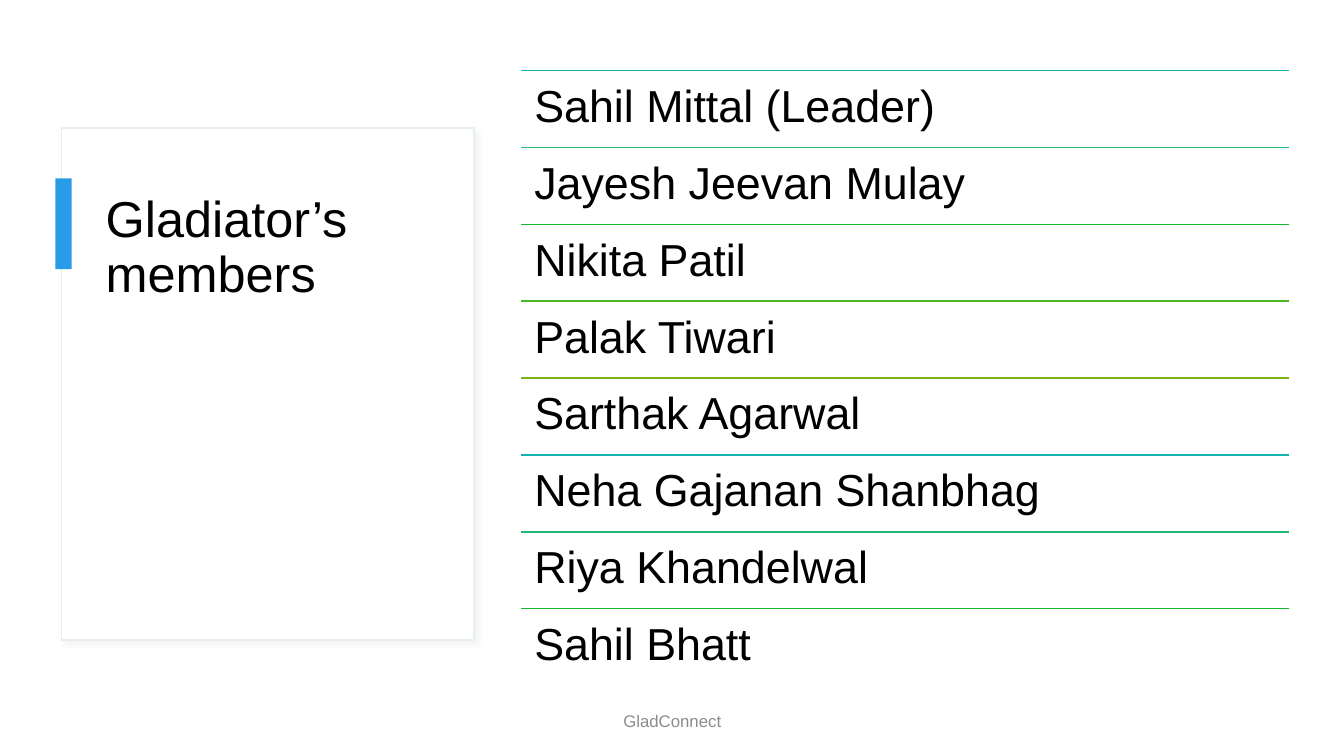
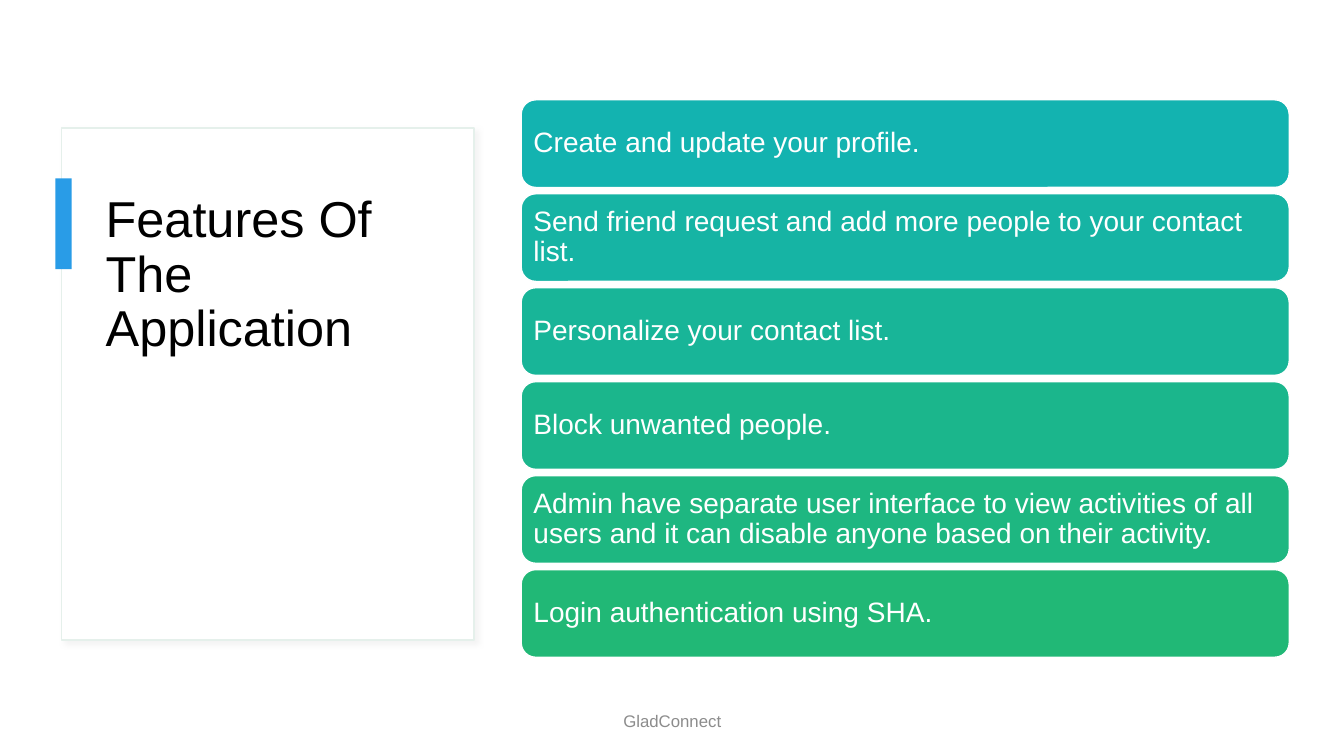
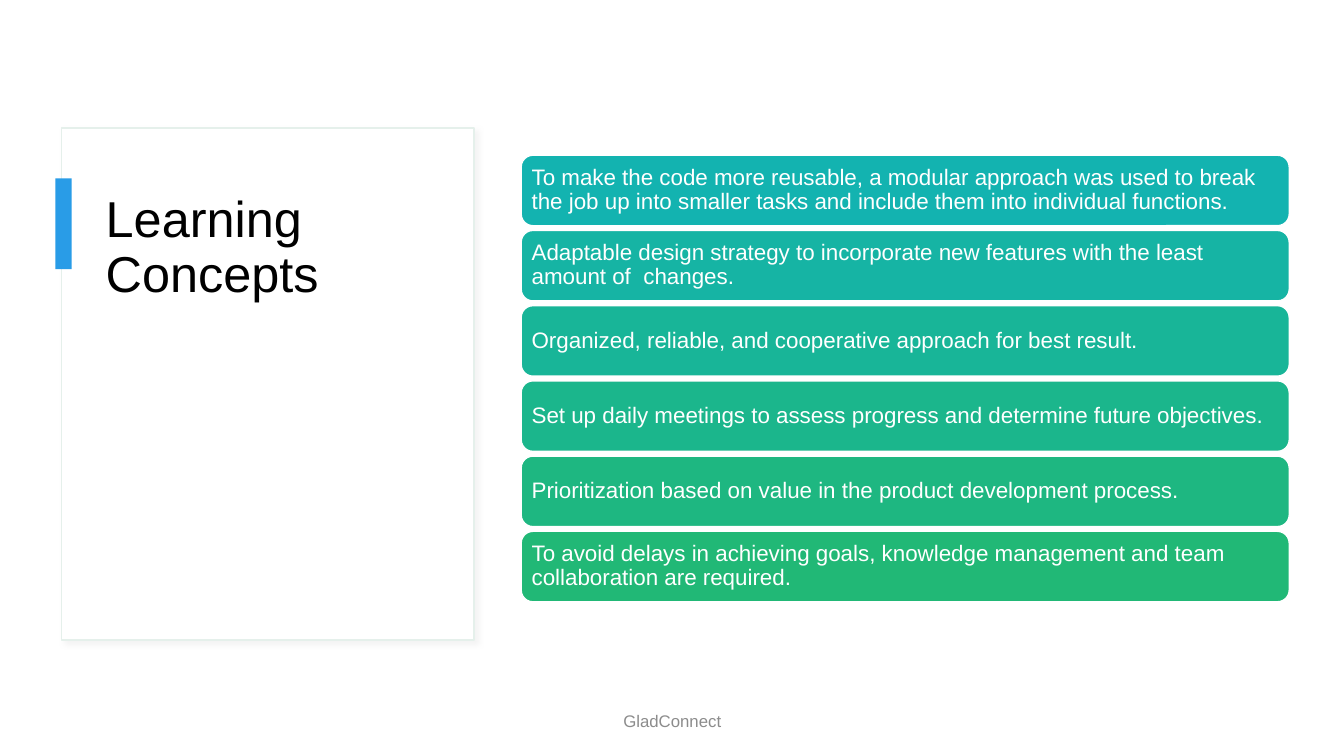
from lxml import etree
from pptx import Presentation
from pptx.dml.color import RGBColor
from pptx.enum.shapes import MSO_CONNECTOR, MSO_SHAPE
from pptx.enum.text import MSO_ANCHOR, PP_ALIGN
from pptx.oxml.ns import qn
from pptx.util import Inches, Pt

RECT, ROUND = MSO_SHAPE.RECTANGLE, MSO_SHAPE.ROUNDED_RECTANGLE
STRAIGHT = MSO_CONNECTOR.STRAIGHT
TOP, MIDDLE = MSO_ANCHOR.TOP, MSO_ANCHOR.MIDDLE
LEFT, CENTER = PP_ALIGN.LEFT, PP_ALIGN.CENTER

SLIDE_W, SLIDE_H = Inches(13.33), Inches(7.5)
FONT = "Arial"
BLACK, WHITE, GREY = "000000", "FFFFFF", "8C8C8C"
ACCENT, PANEL_EDGE, SHADOW = "299CE7", "E5F0EB", "D9D9D9"
RULE_COLORS = ["13B3B0", "21B876", "14BC2D", "4AB821", "80B113"]
CARD_COLORS = ["13B3B0", "16B4A4", "18B598", "1BB68C", "1EB781", "21B876"]

PANEL = (4.58, 16.93, 30.68, 67.73)
TITLE = (7.13, 25.07, 25.43, 51.33)
ACCENT_BAR = (4.13, 23.6, 1.2, 12)
FOOTER = (33.15, 92.67, 33.75, 5.33)
CONTENT_X, CONTENT_W = 38.78, 57.15

MEMBERS = [
    "Sahil Mittal (Leader)",
    "Jayesh Jeevan Mulay",
    "Nikita Patil",
    "Palak Tiwari",
    "Sarthak Agarwal",
    "Neha Gajanan Shanbhag",
    "Riya Khandelwal",
    "Sahil Bhatt",
]
FEATURES = [
    "Create and update your profile.",
    "Send friend request and add more people to your contact list.",
    "Personalize your contact list.",
    "Block unwanted people.",
    "Admin have separate user interface to view activities of all users "
    "and it can disable anyone based on their activity.",
    "Login authentication using SHA.",
]
CONCEPTS = [
    "To make the code more reusable, a modular approach was used to break "
    "the job up into smaller tasks and include them into individual functions.",
    "Adaptable design strategy to incorporate new features with the least "
    "amount of  changes.",
    "Organized, reliable, and cooperative approach for best result.",
    "Set up daily meetings to assess progress and determine future objectives.",
    "Prioritization based on value in the product development process.",
    "To avoid delays in achieving goals, knowledge management and team "
    "collaboration are required.",
]


def rgb(color):
    return RGBColor.from_string(color)


def place(x, y, w, h):
    return [round(share * side / 100) for share, side in
            zip((x, y, w, h), (SLIDE_W, SLIDE_H) * 2)]


def set_all(obj, values):
    for name, value in values.items():
        setattr(obj, name, value)


def write(shape, text, size, color, anchor=TOP, align=LEFT, spacing=0.9, inset=None):
    tf = shape.text_frame
    set_all(tf, {"word_wrap": True, "vertical_anchor": anchor})
    if inset is not None:
        sides = ("left", "top", "right", "bottom")
        set_all(tf, {f"margin_{side}": Inches(inset) for side in sides})
    p = tf.paragraphs[0]
    set_all(p, {"alignment": align, "line_spacing": spacing})
    r = p.add_run()
    r.text = text
    set_all(r.font, {"name": FONT, "size": Pt(size)})
    r.font.color.rgb = rgb(color)


def add_text(s, box, text, size, color, **layout):
    write(s.shapes.add_textbox(*place(*box)), text, size, color, **layout)


def add_box(s, kind, box, fill, edge=None):
    sp = s.shapes.add_shape(kind, *place(*box))
    sp.shadow.inherit = False
    sp.fill.solid()
    sp.fill.fore_color.rgb = rgb(fill)
    if edge:
        sp.line.color.rgb = rgb(edge)
        sp.line.width = Pt(1)
    else:
        sp.line.fill.background()
    return sp


def add_shadow(sp):
    effects = sp._element.spPr.find(qn("a:effectLst"))
    shadow = etree.SubElement(effects, qn("a:outerShdw"), blurRad=str(Pt(4)),
                              dist=str(Pt(3)), dir="2700000", algn="tl")
    color = etree.SubElement(shadow, qn("a:srgbClr"), val=SHADOW)
    etree.SubElement(color, qn("a:alpha"), val="30000")


def add_rule(s, y, color):
    x, top, w, _ = place(CONTENT_X, y, CONTENT_W, 0)
    line = s.shapes.add_connector(STRAIGHT, x, top, x + w, top)
    line.line.color.rgb = rgb(color)
    line.line.width = Pt(1)
    etree.SubElement(line._element.spPr, qn("a:effectLst"))


def add_slide(prs, title):
    s = prs.slides.add_slide(prs.slide_layouts[6])
    add_shadow(add_box(s, RECT, PANEL, WHITE, PANEL_EDGE))
    add_text(s, TITLE, title, 36, BLACK)
    add_box(s, RECT, ACCENT_BAR, ACCENT)
    add_text(s, FOOTER, "GladConnect", 12, GREY,
             anchor=MIDDLE, align=CENTER, spacing=1.0)
    return s


def add_ruled_list(s, items, top, pitch):
    for i, item in enumerate(items):
        y = top + i * pitch
        add_rule(s, y, RULE_COLORS[i % len(RULE_COLORS)])
        add_text(s, (CONTENT_X, y, CONTENT_W, pitch), item, 32, BLACK, inset=0.13)


def add_cards(s, items, top, pitch, height, size, inset):
    for i, (item, color) in enumerate(zip(items, CARD_COLORS)):
        box = (CONTENT_X, top + i * pitch, CONTENT_W, height)
        card = add_box(s, ROUND, box, color, WHITE)
        write(card, item, size, WHITE, anchor=MIDDLE, inset=inset)


def main():
    prs = Presentation()
    set_all(prs, {"slide_width": SLIDE_W, "slide_height": SLIDE_H})
    add_ruled_list(add_slide(prs, "Gladiator’s members"), MEMBERS, 9.33, 10.17)
    add_cards(add_slide(prs, "Features Of The Application"), FEATURES,
              top=13.2, pitch=12.43, height=11.6, size=20, inset=0.08)
    add_cards(add_slide(prs, "Learning Concepts"), CONCEPTS,
              top=20.53, pitch=9.95, height=9.33, size=16, inset=0.07)
    prs.save("out.pptx")


if __name__ == "__main__":
    main()
